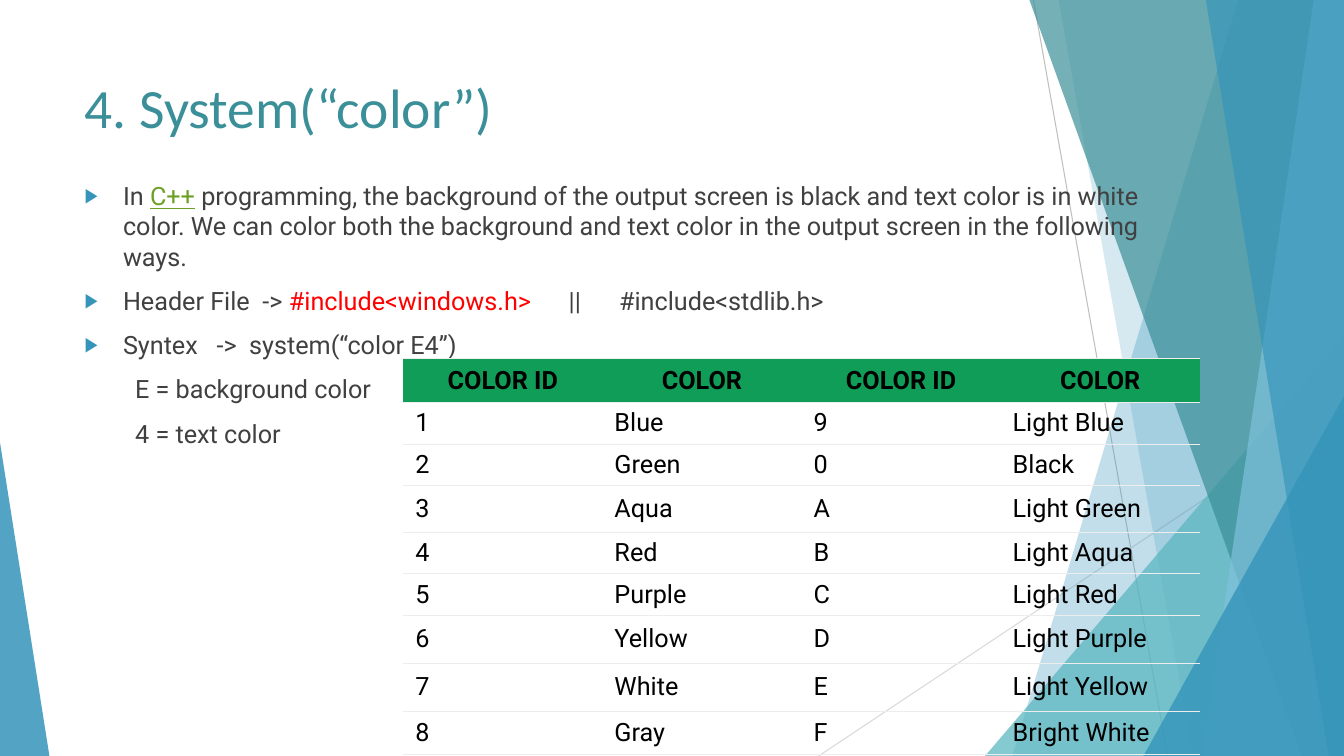
from lxml import etree
from pptx import Presentation
from pptx.dml.color import RGBColor
from pptx.enum import shapes, text
from pptx.oxml import ns
from pptx.util import Inches, Pt

BLUE = RGBColor(0x34, 0x94, 0xBA)
TEAL = RGBColor(0x3A, 0x8F, 0x98)
AQUA = RGBColor(0x58, 0xB6, 0xC0)
SKY = RGBColor(0x7F, 0xC1, 0xDB)
INK = RGBColor(0x40, 0x40, 0x40)
BLACK = RGBColor(0, 0, 0)
RED = RGBColor(0xFF, 0, 0)
LINK = RGBColor(0x6B, 0x9F, 0x25)
GREEN = RGBColor(0x0F, 0x9D, 0x58)
RULE = RGBColor(0xED, 0xED, 0xED)
GREY = RGBColor(0xBF, 0xBF, 0xBF)
PALE = RGBColor(0xD9, 0xD9, 0xD9)
WIDTH, HEIGHT = 13.33, 7.5

HEADING = "4. System(“color”)"
POINTS = [
    [("In\u00a0", {}), ("C++", {"color": LINK, "underline": True}),
     ("\u00a0programming, the background of the output screen is black and text color is in white "
      "color. We can color both the background and text color in the output screen in the "
      "following ways.", {})],
    [("Header File  -> ", {}), ("#include<windows.h>", {"color": RED}),
     ("\t||\t#include<stdlib.h>", {})],
    [("Syntex   ->  system(“color E4”)", {})],
]
LEGEND = ["E = background color", "4 = text color"]
HEADERS = ["COLOR ID", "COLOR"] * 2
COLORS = [
    ("1", "Blue", "9", "Light Blue"),
    ("2", "Green", "0", "Black"),
    ("3", "Aqua", "A", "Light Green"),
    ("4", "Red", "B", "Light Aqua"),
    ("5", "Purple", "C", "Light Red"),
    ("6", "Yellow", "D", "Light Purple"),
    ("7", "White", "E", "Light Yellow"),
    ("8", "Gray", "F", "Bright White"),
]
ROW_HEIGHTS = [0.43, 0.41, 0.41, 0.46, 0.41, 0.41, 0.47, 0.48, 0.43]
TABS = [4.8, 5.3]

RAYS = [((10.25, 0), (11.58, HEIGHT), GREY), ((WIDTH, 4.03), (8.12, HEIGHT), PALE)]
FACETS = [
    ("band", 12.28, 10.04, BLUE, 30),
    ("band", 10.5, 11.83, BLUE, 20),
    ("triangle", (9.77, 3.33, 3.56, 4.17), 1, AQUA, 72),
    ("band", 10.21, 12.91, TEAL, 70),
    ("band", 13.03, 11.92, SKY, 70),
    ("band", 11.96, 13.18, BLUE, 65),
    ("triangle", (11.34, 3.93, 1.99, 3.57), 1, BLUE, 80),
    ("triangle", (0, 4.39, 0.49, 3.11), 0, BLUE, 85),
]


def add(parent, tag, **attributes):
    return etree.SubElement(parent, ns.qn(tag), {k: str(v) for k, v in attributes.items()})


def write(paragraph, words, size=18, font="Roboto", color=INK, bold=False, underline=False):
    run = paragraph.add_run()
    run.text = words
    run.font.size, run.font.name = Pt(size), font
    run.font.bold, run.font.underline = bold, underline
    run.font.color.rgb = color


def place(shape, *box):
    shape.left, shape.top, shape.width, shape.height = map(Inches, box)


def indent(paragraph, left, hanging=0):
    paragraph.space_before = Pt(10)
    properties = paragraph._p.get_or_add_pPr()
    properties.set("marL", str(Inches(left)))
    properties.set("indent", str(-Inches(hanging)))
    return properties


def add_bullet(properties):
    add(add(properties, "a:buClr"), "a:srgbClr", val=BLUE)
    add(properties, "a:buSzPct", val=80000)
    add(properties, "a:buChar", char="▶")


def add_band(top_x, bottom_x):
    builder = slide.shapes.build_freeform(Inches(top_x), 0, 1.0)
    corners = [(WIDTH, 0), (WIDTH, HEIGHT), (bottom_x, HEIGHT)]
    builder.add_line_segments([(Inches(x), Inches(y)) for x, y in corners])
    return builder.convert_to_shape()


def add_triangle(box, apex):
    triangle = slide.shapes.add_shape(shapes.MSO_SHAPE.ISOSCELES_TRIANGLE, *map(Inches, box))
    triangle.adjustments[0] = apex
    return triangle


deck = Presentation()
deck.slide_width, deck.slide_height = Inches(WIDTH), Inches(HEIGHT)
slide = deck.slides.add_slide(deck.slide_layouts[1])

for start, end, color in RAYS:
    ray = slide.shapes.add_connector(
        shapes.MSO_CONNECTOR.STRAIGHT, *map(Inches, start + end))
    ray.line.color.rgb, ray.line.width = color, Pt(0.75)
    add(ray._element.spPr, "a:effectLst")

for kind, first, second, color, opacity in FACETS:
    facet = (add_band if kind == "band" else add_triangle)(first, second)
    facet.shadow.inherit = False
    facet.line.fill.background()
    facet.fill.solid()
    facet.fill.fore_color.rgb = color
    add(facet._element.spPr.find(".//" + ns.qn("a:srgbClr")), "a:alpha", val=opacity * 1000)

title, body = slide.placeholders
for holder, box in ((title, (0.74, 0.67, 9.4, 1.07)), (body, (0.74, 1.74, 11.16, 5.61))):
    slide.shapes._spTree.append(holder._element)
    place(holder, *box)
    holder.text_frame.vertical_anchor = text.MSO_ANCHOR.TOP
    holder.text_frame.auto_size = text.MSO_AUTO_SIZE.NONE
heading = title.text_frame.paragraphs[0]
heading.alignment = text.PP_ALIGN.LEFT
write(heading, HEADING, size=39.6, font="Calibri", color=TEAL)

for number, pieces in enumerate(POINTS):
    point = body.text_frame.add_paragraph() if number else body.text_frame.paragraphs[0]
    properties = indent(point, 0.38, 0.38)
    add_bullet(properties)
    if any("\t" in words for words, _ in pieces):
        stops = add(properties, "a:tabLst")
        for stop in TABS:
            add(stops, "a:tab", pos=Inches(stop), algn="l")
    for words, style in pieces:
        write(point, words, **style)
for meaning in LEGEND:
    entry = body.text_frame.add_paragraph()
    add(indent(entry, 0.5), "a:buNone")
    write(entry, meaning)

rows = [HEADERS] + COLORS
chart_frame = slide.shapes.add_table(
    len(rows), len(HEADERS), Inches(4), Inches(3.56), Inches(7.9), Inches(sum(ROW_HEIGHTS)))
palette = chart_frame.table
palette.horz_banding = False
palette._tbl.tblPr.find(ns.qn("a:tableStyleId")).text = "{2D5ABB26-0587-4C30-8999-92F81FD0307C}"
for r, (height, values) in enumerate(zip(ROW_HEIGHTS, rows)):
    palette.rows[r].height = Inches(height)
    for c, value in enumerate(values):
        cell = palette.cell(r, c)
        is_header = r == 0
        cell.vertical_anchor = text.MSO_ANCHOR.MIDDLE
        cell.margin_left = cell.margin_right = Inches(0.07 if is_header else 0.12)
        cell.margin_top = cell.margin_bottom = Inches(0.07 if is_header else 0.06)
        label = cell.text_frame.paragraphs[0]
        label.alignment = text.PP_ALIGN.CENTER if is_header else text.PP_ALIGN.LEFT
        write(label, value, color=BLACK, bold=is_header)
        properties = cell._tc.get_or_add_tcPr()
        for side in ("a:lnT", "a:lnB"):
            border = add(properties, side, w=Pt(0.6))
            add(add(border, "a:solidFill"), "a:srgbClr", val=RULE)
        if is_header:
            cell.fill.solid()
            cell.fill.fore_color.rgb = GREEN
        else:
            cell.fill.background()

deck.save("out.pptx")
